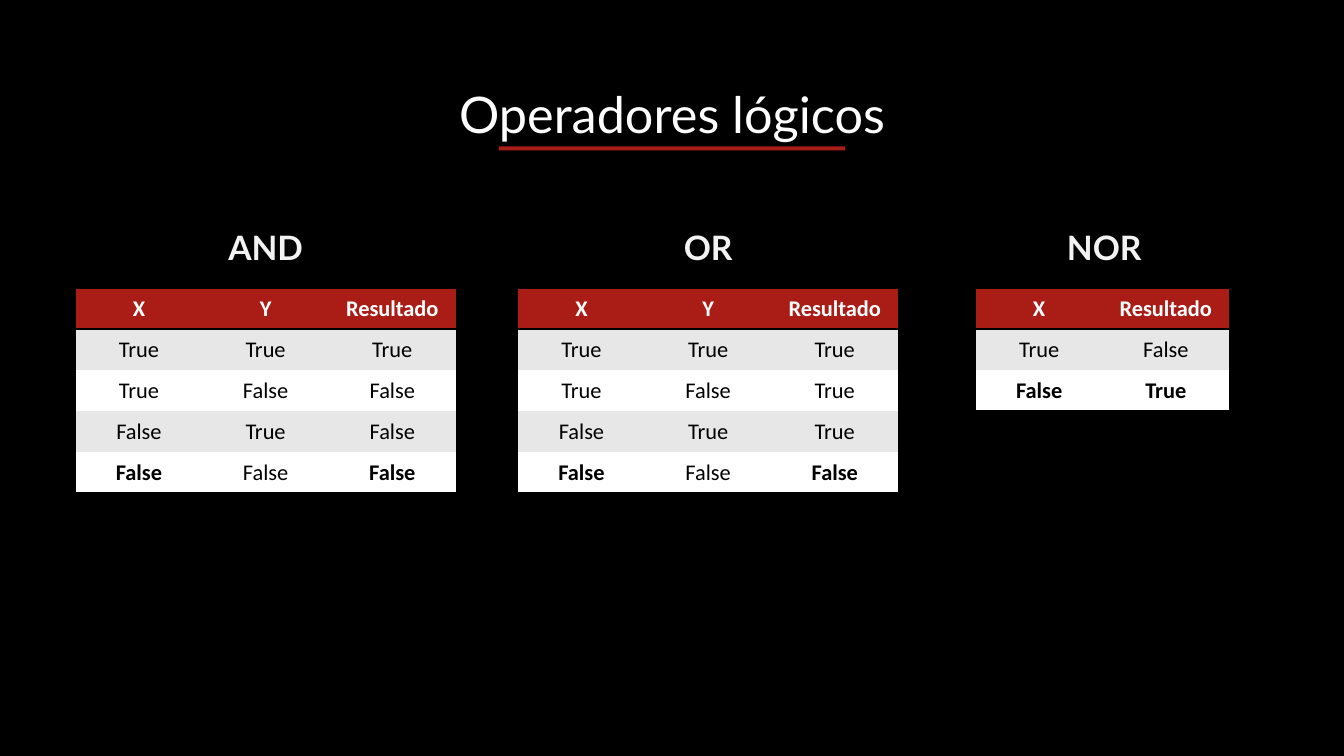
"""Build a slide with the truth tables of three logical operators."""
from dataclasses import dataclass

from lxml.etree import SubElement
from pptx import Presentation
from pptx.dml.color import RGBColor as Color
from pptx.enum.shapes import MSO_SHAPE as Preset
from pptx.enum.text import MSO_ANCHOR as Anchor, PP_ALIGN as Align
from pptx.oxml.ns import qn
from pptx.util import Pt


@dataclass(frozen=True)
class Theme:
    """Colours, fonts and type sizes."""
    black: str = "000000"
    white: str = "FFFFFF"
    red: str = "AA1D16"
    band: str = "E7E7E7"
    label: str = "F2F2F2"
    heading_font: str = "Lato"
    table_font: str = "Calibri"
    title_size: int = 36
    label_size: int = 24
    cell_size: int = 16
    rule_width: int = 2


THEME = Theme()
COLUMN, ROW = 90.5, 29.25
LABEL_WIDTH, LABEL_HEIGHT, LABEL_RISE = 179.3, 36, 47.5
TABLE_TOP = 205.9
TRUTH_TABLES = [
    ("AND", 54, 100.1, ["X Y Resultado", "True True True", "True False False",
                        "False True False", "False False False"]),
    ("OR", 370.1, 416.2, ["X Y Resultado", "True True True", "True False True",
                          "False True True", "False False False"]),
    ("NOR", 697, 699.1, ["X Resultado", "True False", "False True"]),
]


def add_span(para, text, font, size, color, bold=False):
    """Add one centred, formatted run to a paragraph."""
    para.alignment = Align.CENTER
    span = para.add_run()
    span.text = text
    span.font.name, span.font.size, span.font.bold = font, Pt(size), bold
    span.font.color.rgb = Color.from_string(color)


def add_heading(page, box, text, size, color, bold=False, anchor=Anchor.TOP):
    """Add a wrapped text box with one line of heading text."""
    frame = page.shapes.add_textbox(*map(Pt, box)).text_frame
    frame.word_wrap, frame.vertical_anchor = True, anchor
    para = frame.paragraphs[0]
    add_span(para, text, THEME.heading_font, size, color, bold)
    return para


def add_title(page, left, top, width, height):
    """Add the slide title and its underline."""
    para = add_heading(page, (left, top, width, height), "Operadores lógicos",
                       THEME.title_size, THEME.white, anchor=Anchor.MIDDLE)
    para.line_spacing = 0.9
    line_width = 247.5
    underline = page.shapes.add_shape(
        Preset.RECTANGLE, Pt(left + (width - line_width) / 2), Pt(top + 45.5),
        Pt(line_width), Pt(2.9))
    underline.shadow.inherit = False
    underline.fill.solid()
    underline.fill.fore_color.rgb = Color.from_string(THEME.red)
    underline.line.fill.background()


def set_borders(cell, ruled):
    """Draw black rules on the named sides and clear the other sides."""
    props = cell._tc.get_or_add_tcPr()
    for side in "LRTB":
        line = SubElement(props, qn(f"a:ln{side}"), w=str(Pt(THEME.rule_width)))
        if side in ruled:
            fill = SubElement(line, qn("a:solidFill"))
            SubElement(fill, qn("a:srgbClr"), val=THEME.black)
        else:
            SubElement(line, qn("a:noFill"))


def fill_cell(cell, text, fill, color, bold, ruled):
    """Set the borders, fill and text of one table cell."""
    set_borders(cell, ruled)
    cell.fill.solid()
    cell.fill.fore_color.rgb = Color.from_string(fill)
    cell.vertical_anchor = Anchor.MIDDLE
    add_span(cell.text_frame.paragraphs[0], text, THEME.table_font,
             THEME.cell_size, color, bold)


def add_truth_table(page, left, top, name, label_left, lines):
    """Add an operator name and the truth table below it."""
    add_heading(page, (label_left, top - LABEL_RISE, LABEL_WIDTH, LABEL_HEIGHT),
                name, THEME.label_size, THEME.label, bold=True)
    rows = [line.split() for line in lines]
    last_row, last_column = len(rows) - 1, len(rows[0]) - 1
    table = page.shapes.add_table(
        len(rows), len(rows[0]), Pt(left), Pt(top),
        Pt(COLUMN * len(rows[0])), Pt(ROW * len(rows))).table
    for column in table.columns:
        column.width = Pt(COLUMN)
    for r, values in enumerate(rows):
        table.rows[r].height = Pt(ROW)
        header = r == 0
        fill = THEME.red if header else THEME.band if r % 2 else THEME.white
        color = THEME.white if header else THEME.black
        ruled = "TB" if header else {1: "T", last_row: "B"}.get(r, "")
        for c, value in enumerate(values):
            bold = header or (r == last_row and c in (0, last_column))
            fill_cell(table.cell(r, c), value, fill, color, bold, ruled)


def build_operators_page(deck):
    """Add the slide with the title and all truth tables."""
    page = deck.slides.add_slide(deck.slide_layouts[6])
    page.background.fill.solid()
    page.background.fill.fore_color.rgb = Color.from_string(THEME.black)
    add_title(page, 233.2, 59, 493.6, 49)
    for name, left, label_left, lines in TRUTH_TABLES:
        add_truth_table(page, left, TABLE_TOP, name, label_left, lines)


deck = Presentation()
deck.slide_width, deck.slide_height = Pt(960), Pt(540)
build_operators_page(deck)
deck.save("out.pptx")
